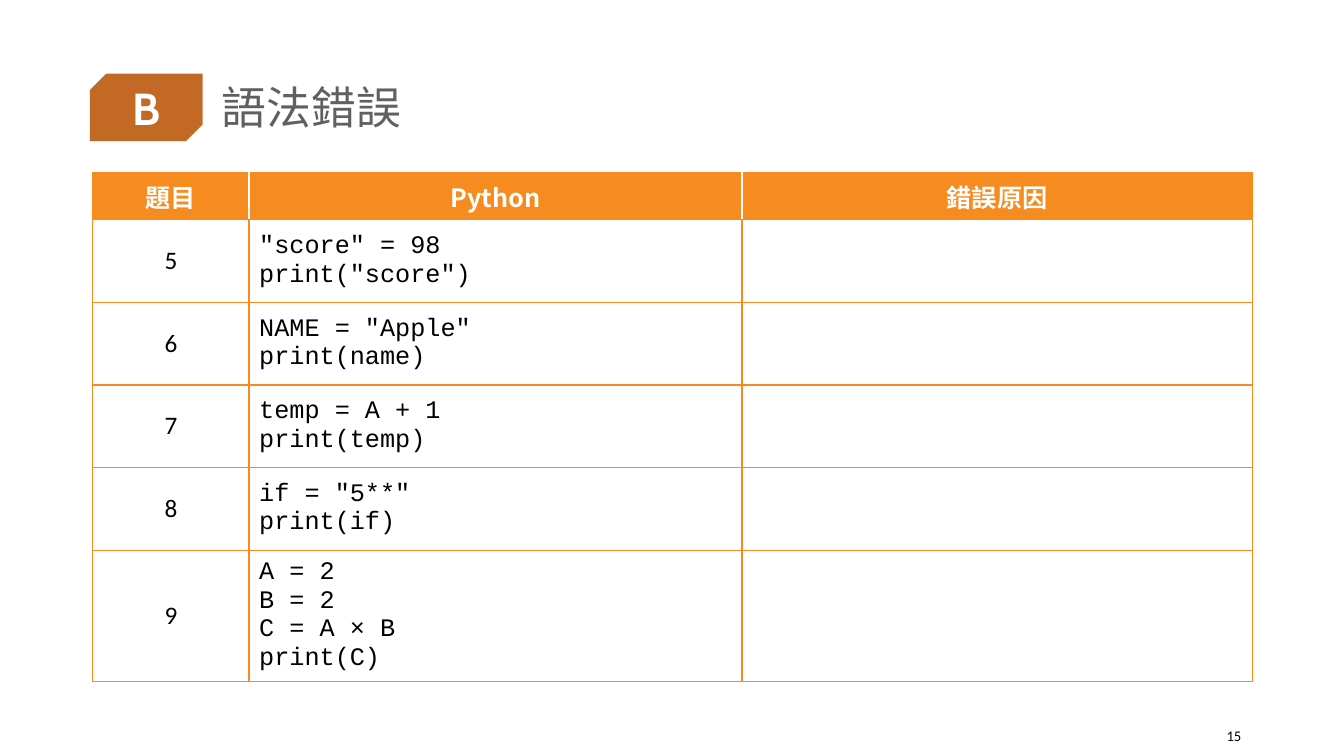
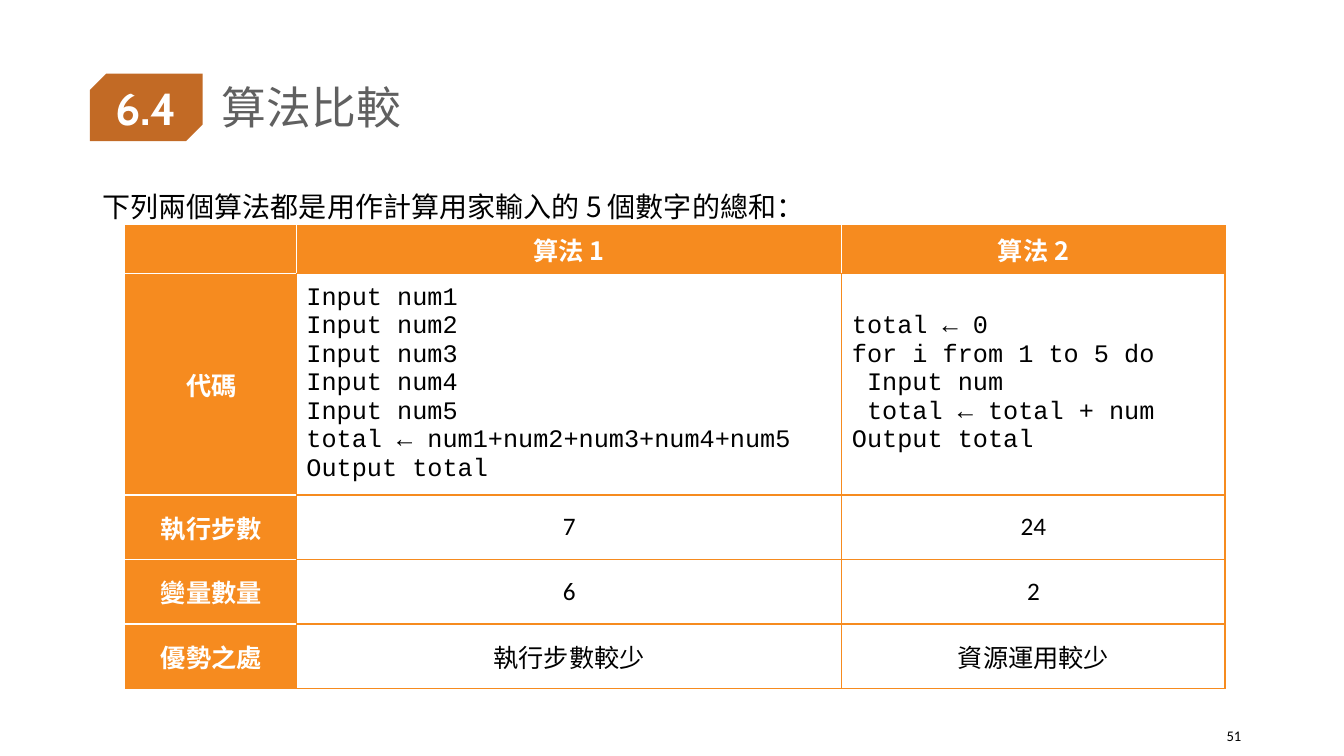
from lxml import etree
from pptx import Presentation
from pptx.dml.color import RGBColor
from pptx.enum.shapes import MSO_SHAPE
from pptx.enum.text import MSO_ANCHOR, MSO_AUTO_SIZE, PP_ALIGN
from pptx.oxml.ns import qn
from pptx.util import Inches, Pt

LEFT, CENTER, RIGHT = PP_ALIGN.LEFT, PP_ALIGN.CENTER, PP_ALIGN.RIGHT
TOP, MIDDLE = MSO_ANCHOR.TOP, MSO_ANCHOR.MIDDLE
NO_FIT = MSO_AUTO_SIZE.NONE
SNIPPED = MSO_SHAPE.SNIP_2_DIAG_RECTANGLE

# Shared look
ORANGE, RUST, GREY = "F68B1F", "C26A25", "606060"
WHITE, BLACK = "FFFFFF", "000000"
CJK, SANS, CODE, BADGE = "Noto Sans CJK TC", "Calibri", "Courier New", "Cabin"

# Cell kinds: font, colour, bold, alignment, fill
CELL_STYLES = {
    "header": (CJK, WHITE, True, CENTER, ORANGE),
    "value": (SANS, BLACK, False, CENTER, WHITE),
    "code": (CODE, BLACK, False, LEFT, WHITE),
}


def rgb(color):
    return RGBColor.from_string(color)


def write(tf, text, font, size, color, align=LEFT, bold=False, spacing=None):
    """Fill a text frame, one paragraph a line, in a single style."""
    tf.text = text
    for p in tf.paragraphs:
        p.alignment = align
        if spacing:
            p.line_spacing = spacing
        p.font.size = Pt(size)
        p.font.bold = bold
        p.font.color.rgb = rgb(color)
        p.font.name = font
        # East Asian typeface follows the Latin one
        latin = p._p.pPr.find(qn("a:defRPr")).find(qn("a:latin"))
        ea = etree.Element(qn("a:ea"), typeface=font if font == CODE else CJK)
        latin.addnext(ea)


def add_text(slide, box, text, font, size, align=LEFT, anchor=TOP, spacing=None):
    tf = slide.shapes.add_textbox(*map(Inches, box)).text_frame
    tf.word_wrap = True
    tf.vertical_anchor = anchor
    write(tf, text, font, size, BLACK, align, spacing=spacing)


def add_badge(slide, label):
    sp = slide.shapes.add_shape(SNIPPED, *map(Inches, (0.89, 0.73, 1.12, 0.67)))
    sp.adjustments[0], sp.adjustments[1] = 0.245, 0
    sp.shadow.inherit = False
    sp.fill.solid()
    sp.fill.fore_color.rgb = rgb(RUST)
    sp.line.fill.background()
    tf = sp.text_frame
    tf.word_wrap = False
    tf.vertical_anchor = MIDDLE
    write(tf, label, BADGE, 32, WHITE, CENTER, bold=True)


def add_slide(prs, badge, title, number):
    """Title-only slide with its section badge and page number."""
    slide = prs.slides.add_slide(prs.slide_layouts[5])
    sp = slide.shapes.title
    sp.left, sp.top, sp.width, sp.height = map(Inches, (2.1, 0.4, 10.32, 1.38))
    tf = sp.text_frame
    tf.auto_size = NO_FIT
    tf.vertical_anchor = MIDDLE
    write(tf, title, CJK, 32, GREY, spacing=0.9)
    add_badge(slide, badge)
    add_text(slide, (11.57, 7.1, 0.84, 0.4), number, SANS, 10.5, RIGHT, MIDDLE)
    return slide


def set_border(cell, side, color):
    ln = etree.SubElement(cell._tc.get_or_add_tcPr(), qn(f"a:ln{side}"), w=str(Pt(1)))
    fill = etree.SubElement(ln, qn("a:solidFill"))
    etree.SubElement(fill, qn("a:srgbClr"), val=color)


def add_table(slide, left, top, widths, heights, rows, kind_of):
    """Draw a grid; kind_of(row, column) names the style of each cell."""
    frame = slide.shapes.add_table(
        len(rows), len(widths), Inches(left), Inches(top),
        Inches(sum(widths)), Inches(sum(heights)))
    table = frame.table
    table.first_row = table.horz_banding = False
    for column, width in zip(table.columns, widths):
        column.width = Inches(width)
    for row, height in zip(table.rows, heights):
        row.height = Inches(height)

    def is_header(r, c):
        inside = 0 <= r < len(rows) and 0 <= c < len(widths)
        return inside and kind_of(r, c) == "header"

    for r, texts in enumerate(rows):
        for c, text in enumerate(texts):
            cell = table.cell(r, c)
            font, color, bold, align, fill = CELL_STYLES[kind_of(r, c)]
            # Lines between two header cells are white
            neighbours = {"L": (r, c - 1), "R": (r, c + 1),
                          "T": (r - 1, c), "B": (r + 1, c)}
            for side, place in neighbours.items():
                both = is_header(r, c) and is_header(*place)
                set_border(cell, side, WHITE if both else ORANGE)
            cell.fill.solid()
            cell.fill.fore_color.rgb = rgb(fill)
            cell.vertical_anchor = MIDDLE
            write(cell.text_frame, text, font, 18, color, align, bold)


def syntax_errors(prs):
    slide = add_slide(prs, "B", "語法錯誤", "15")
    rows = [
        ("題目", "Python", "錯誤原因"),
        ("5", '"score" = 98\nprint("score")', ""),
        ("6", 'NAME = "Apple"\nprint(name)', ""),
        ("7", "temp = A + 1\nprint(temp)", ""),
        ("8", 'if = "5**"\nprint(if)', ""),
        ("9", "A = 2\nB = 2\nC = A × B\nprint(C)", ""),
    ]

    def kind_of(r, c):
        return "header" if r == 0 else ("value", "code", "value")[c]

    add_table(slide, 0.92, 1.71, [1.55, 4.89, 5.06],
              [0.47] + [0.82] * 4 + [1.24], rows, kind_of)


def algorithm_comparison(prs):
    slide = add_slide(prs, "6.4", "算法比較", "51")
    add_text(slide, (0.92, 1.76, 11.5, 0.48),
             "下列兩個算法都是用作計算用家輸入的 5 個數字的總和：", CJK, 20, spacing=1.2)
    inputs = "\n".join(f"Input num{i}" for i in range(1, 6))
    rows = [
        ("", "算法 1", "算法 2"),
        ("代碼",
         inputs + "\ntotal ← num1+num2+num3+num4+num5\nOutput total",
         "total ← 0\nfor i from 1 to 5 do\n Input num\n"
         " total ← total + num\nOutput total"),
        ("執行步數", "7", "24"),
        ("變量數量", "6", "2"),
        ("優勢之處", "執行步數較少", "資源運用較少"),
    ]

    def kind_of(r, c):
        if r == 0 or c == 0:
            return "header"
        return "code" if r == 1 else "value"

    add_table(slide, 1.25, 2.24, [1.69, 5.41, 3.8],
              [0.47, 2.12, 0.64, 0.64, 0.64], rows, kind_of)


def main():
    prs = Presentation()
    prs.slide_width, prs.slide_height = Inches(13.33), Inches(7.5)
    syntax_errors(prs)
    algorithm_comparison(prs)
    prs.save("out.pptx")


if __name__ == "__main__":
    main()
